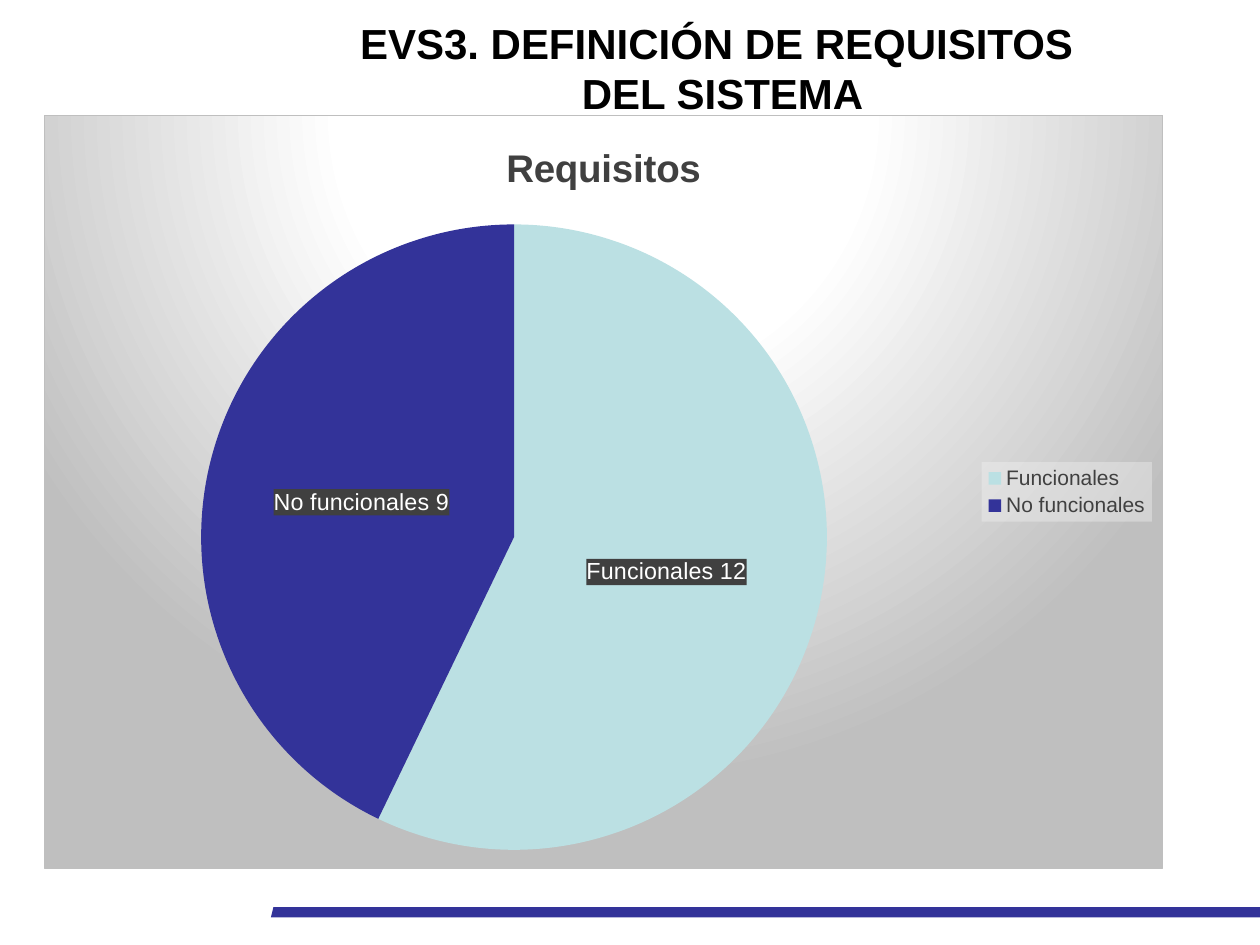
from lxml.etree import fromstring
from pptx import Presentation
from pptx.chart.data import CategoryChartData
from pptx.dml.color import RGBColor
from pptx.enum.chart import XL_CHART_TYPE as ChartType
from pptx.enum.chart import XL_LABEL_POSITION as LabelPosition
from pptx.enum.chart import XL_LEGEND_POSITION as LegendPosition
from pptx.enum.text import MSO_ANCHOR as Anchor
from pptx.enum.text import PP_ALIGN as Align
from pptx.oxml.ns import nsdecls, qn
from pptx.util import Inches, Pt

WHITE = RGBColor(0xFF, 0xFF, 0xFF)
BLACK = RGBColor(0x00, 0x00, 0x00)
NAVY = RGBColor(0x33, 0x33, 0x99)
AQUA = RGBColor(0xBB, 0xE0, 0xE3)
CHARCOAL = RGBColor(0x40, 0x40, 0x40)
GREY = RGBColor(0xBF, 0xBF, 0xBF)
PALE_GREY = RGBColor(0xF2, 0xF2, 0xF2)


def solid_xml(color, opacity=100):
    return (f'<a:solidFill><a:srgbClr val="{color}">'
            f'<a:alpha val="{opacity * 1000}"/></a:srgbClr></a:solidFill>')


def radial_xml(stops):
    """Circular gradient centred above the top edge."""
    marks = "".join(f'<a:gs pos="{place * 1000}"><a:srgbClr val="{color}"/></a:gs>'
                    for place, color in stops)
    return (f'<a:gradFill><a:gsLst>{marks}</a:gsLst><a:path path="circle">'
            '<a:fillToRect l="50000" t="-80000" r="50000" b="180000"/>'
            '</a:path></a:gradFill>')


def paint(element, fill, line="<a:ln><a:noFill/></a:ln>"):
    """Give a chart part a fill and line, just before its text properties."""
    style = fromstring(f'<c:spPr {nsdecls("c", "a")}>{fill}{line}</c:spPr>')
    element.find(qn("c:txPr")).addprevious(style)


def place_plot(chart, **fractions):
    area = chart._chartSpace.chart.plotArea
    for layout in area.findall(qn("c:layout")):
        area.remove(layout)
    sizes = "".join(f'<c:{side} val="{value}"/>' for side, value in fractions.items())
    area.insert(0, fromstring(
        f'<c:layout {nsdecls("c")}><c:manualLayout><c:layoutTarget val="inner"/>'
        f'<c:xMode val="edge"/><c:yMode val="edge"/>{sizes}'
        '</c:manualLayout></c:layout>'))


class SlideBuilder:
    font = "Arial"

    def __init__(self, page):
        self.page = page

    def style_font(self, target, size, color, bold=False):
        target.color.rgb = color
        for name, value in {"name": self.font, "size": Pt(size), "bold": bold}.items():
            setattr(target, name, value)

    def bar(self, points, color):
        start, *others = [(Inches(x), Inches(y)) for x, y in points]
        outline = self.page.shapes.build_freeform(*start)
        outline.add_line_segments(others, close=True)
        shape = outline.convert_to_shape()
        shape.shadow.inherit = False
        shape.fill.solid()
        shape.fill.fore_color.rgb = color
        shape.line.fill.background()

    def heading(self, lines, *bounds):
        box = self.page.shapes.add_textbox(*map(Inches, bounds))
        box.line.color.rgb = WHITE
        box.line.width = Pt(1)
        frame = box.text_frame
        margins = {f"margin_{side}": Inches(0.05)
                   for side in ("left", "top", "right", "bottom")}
        layout = {"word_wrap": False, "vertical_anchor": Anchor.MIDDLE, **margins}
        for name, value in layout.items():
            setattr(frame, name, value)
        for number, line in enumerate(lines):
            para = frame.add_paragraph() if number else frame.paragraphs[0]
            para.alignment = Align.CENTER
            span = para.add_run()
            span.text = line
            self.style_font(span.font, 24, BLACK, bold=True)

    def pie(self, title, slices, *bounds):
        """Draw a pie from (category, value, colour) slices."""
        data = CategoryChartData()
        data.categories = [category for category, _, _ in slices]
        data.add_series(title, [value for _, value, _ in slices])
        chart = self.page.shapes.add_chart(
            ChartType.PIE, *map(Inches, bounds), data).chart
        self.style_font(chart.font, 10, BLACK)
        border = f'<a:ln w="{Pt(0.75)}">{solid_xml(GREY)}</a:ln>'
        paint(chart._chartSpace,
              radial_xml([(0, WHITE), (39, WHITE), (100, GREY)]), border)
        place_plot(chart, x=0.14, y=0.14, w=0.56, h=0.84)

        chart.has_title = True
        para = chart.chart_title.text_frame.paragraphs[0]
        span = para.add_run()
        span.text = title
        self.style_font(span.font, 22, CHARCOAL, bold=True)

        chart.has_legend = True
        legend = chart.legend
        legend.position = LegendPosition.RIGHT
        legend.include_in_layout = False
        self.style_font(legend.font, 12, CHARCOAL)
        paint(legend._element, solid_xml(PALE_GREY, 40))

        plot = chart.plots[0]
        plot.vary_by_categories = True
        series = plot.series[0]
        for number, (_, _, color) in enumerate(slices):
            fill = series.points[number].format.fill
            fill.solid()
            fill.fore_color.rgb = color
        self.slice_labels(series.data_labels)

    def slice_labels(self, labels):
        self.style_font(labels.font, 13.3, WHITE)
        options = {"show_value": True, "show_category_name": True,
                   "show_percentage": False, "show_legend_key": False,
                   "position": LabelPosition.CENTER}
        for name, value in options.items():
            setattr(labels, name, value)
        element = labels._element
        paint(element, solid_xml(CHARCOAL, 90))
        separator = fromstring(f'<c:separator {nsdecls("c")}> </c:separator>')
        element.find(qn("c:showBubbleSize")).addnext(separator)


def main():
    deck = Presentation()
    deck.slide_width, deck.slide_height = Inches(10), Inches(7.5)
    builder = SlideBuilder(deck.slides.add_slide(deck.slide_layouts[6]))
    builder.bar([(2.15, 7.28), (10, 7.28), (10, 7.2), (2.17, 7.2)], NAVY)
    builder.heading(["EVS3. DEFINICIÓN DE REQUISITOS ", "DEL SISTEMA"],
                    2.23, 0.16, 7.01, 0.75)
    builder.pie("Requisitos",
                [("Funcionales", 12, AQUA), ("No funcionales", 9, NAVY)],
                0.35, 0.91, 8.88, 5.99)
    deck.save("out.pptx")


if __name__ == "__main__":
    main()
